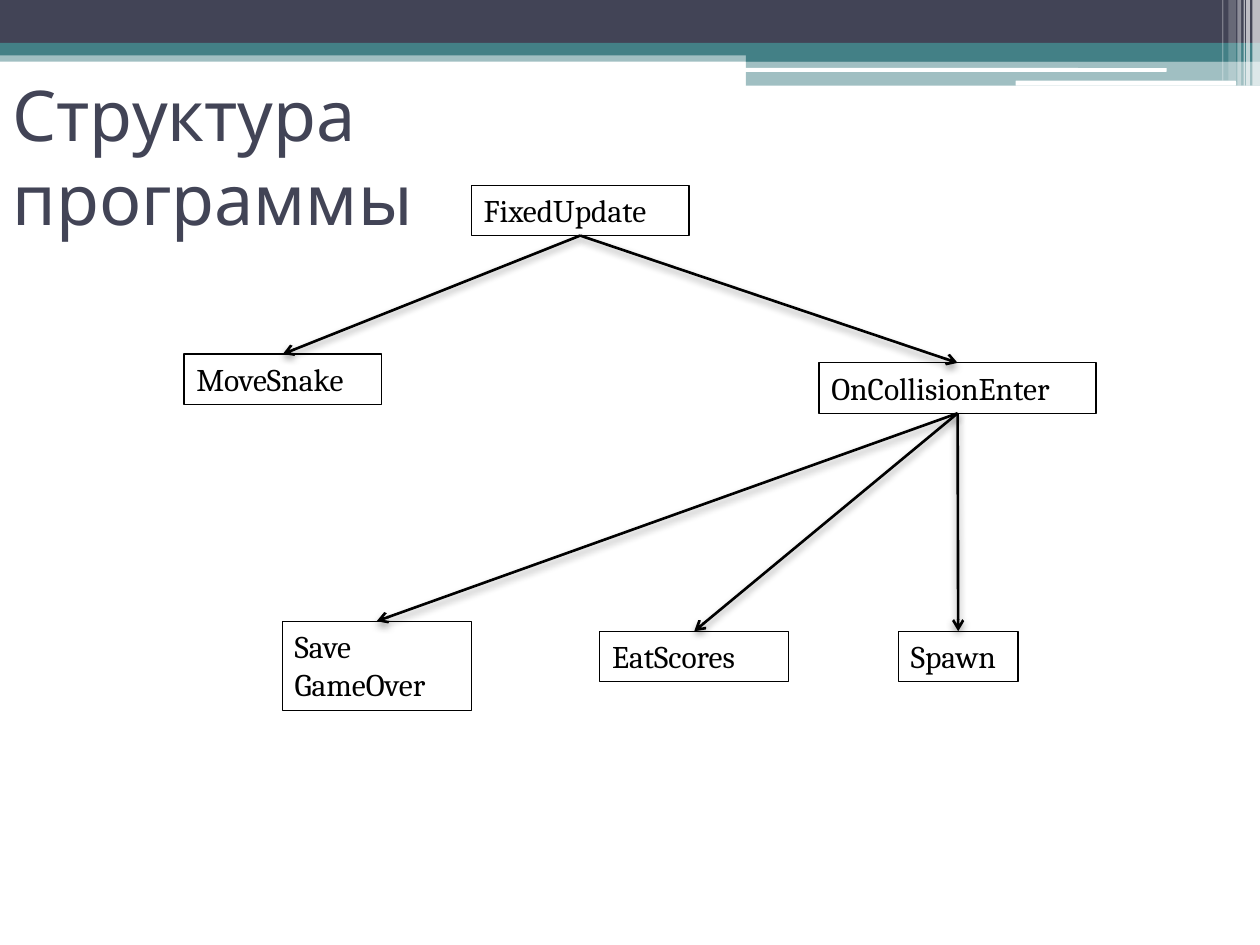
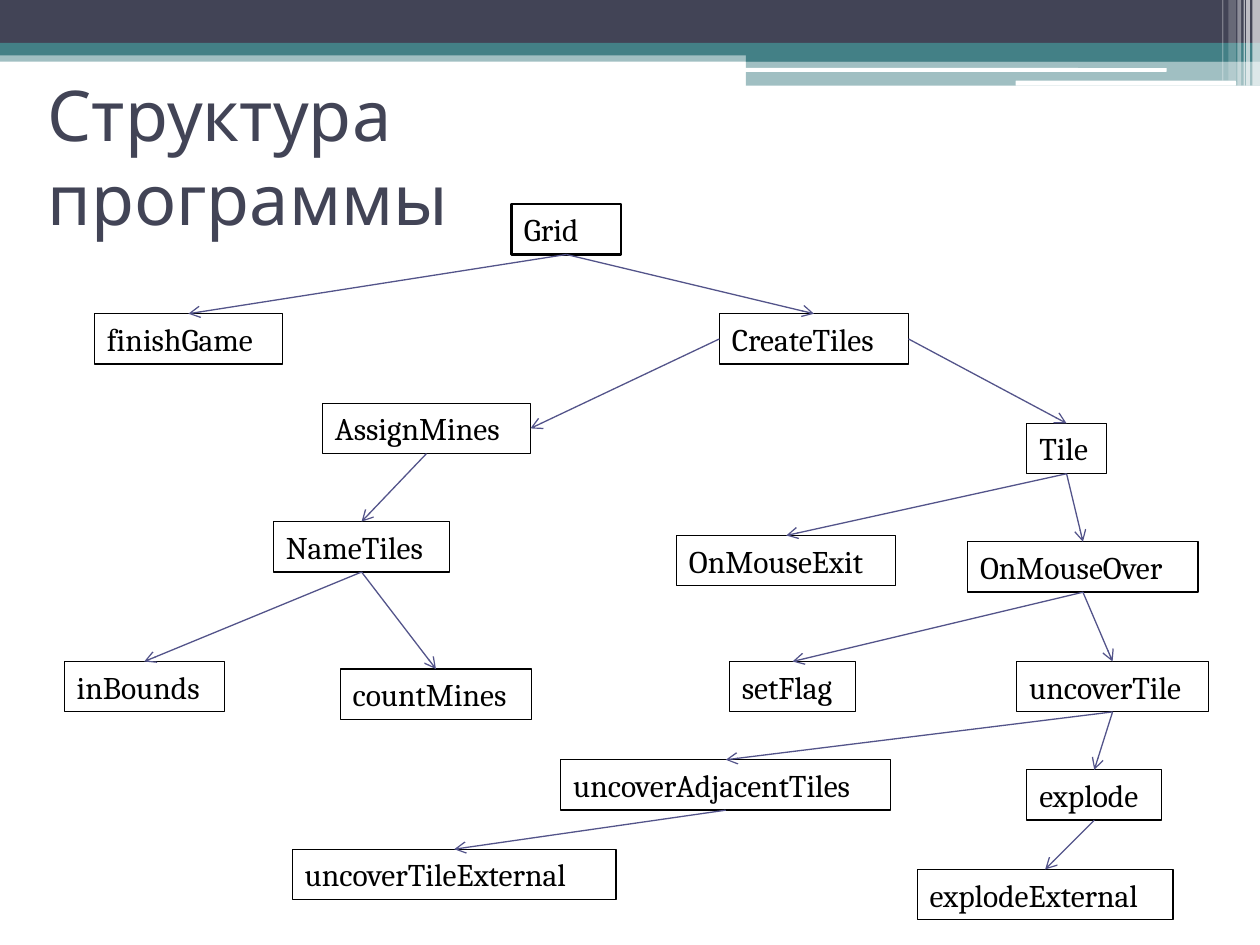
from lxml.etree import SubElement
from pptx import Presentation
from pptx.dml.color import RGBColor
from pptx.enum.shapes import MSO_CONNECTOR as LINE, MSO_SHAPE as SHAPE
from pptx.enum.text import MSO_ANCHOR as ANCHOR, PP_ALIGN as ALIGN
from pptx.oxml import parse_xml
from pptx.oxml.ns import nsdecls, qn
from pptx.util import Inches, Pt

NAVY, TEAL, VIOLET = "424456", "438086", "53548A"
BLACK, WHITE = "000000", "FFFFFF"
BOTTOM, TOP, LEFT, RIGHT = 2, 0, 1, 3
BOX_HEIGHT = 0.4
TITLE = "Структура программы"

# left, top, width, height, colour, opacity in percent
BANDS = [
    (0, 0.4, 10, 0.09, TEAL, 50),
    (0, 0, 10, 0.34, NAVY, 100),
    (0, 0.34, 10, 0.1, TEAL, 100),
    (5.92, 0.39, 4.08, 0.1, TEAL, 100),
    (5.92, 0.48, 4.08, 0.2, TEAL, 50),
]
ROUNDED_BARS = [
    (5.91, 0.54, 3.35, 0.03, WHITE, 100),
    (8.06, 0.64, 1.75, 0.04, WHITE, 100),
]
STRIPES = [
    (9.94, 0, 0.06, 0.68, WHITE, 65),
    (9.89, 0, 0.03, 0.68, WHITE, 65),
    (9.87, 0, 0.01, 0.68, WHITE, 60),
    (9.82, 0, 0.03, 0.68, WHITE, 40),
    (9.75, 0, 0.06, 0.64, WHITE, 20),
    (9.7, 0, 0.01, 0.64, WHITE, 30),
]

SNAKE = {
    "title": (0, 5.98),
    "arrow": (BLACK, 1.5, True),
    "boxes": {  # left, top, width
        "FixedUpdate": (3.74, 1.47, 1.73),
        "MoveSnake": (1.46, 2.81, 1.57),
        "OnCollisionEnter": (6.5, 2.88, 2.2),
        "Save\nGameOver": (2.24, 4.93, 1.5),
        "EatScores": (4.76, 5.01, 1.5),
        "Spawn": (7.13, 5.01, 0.95),
    },
    "links": [
        ("FixedUpdate", BOTTOM, "MoveSnake", TOP),
        ("FixedUpdate", BOTTOM, "OnCollisionEnter", TOP),
        ("OnCollisionEnter", BOTTOM, "Save\nGameOver", TOP),
        ("OnCollisionEnter", BOTTOM, "EatScores", TOP),
        ("OnCollisionEnter", BOTTOM, "Spawn", TOP),
    ],
}
MINES = {
    "title": (0.28, 5.88),
    "arrow": (VIOLET, 0.75, False),
    "boxes": {
        "CreateTiles": (5.71, 2.49, 1.5),
        "AssignMines": (2.56, 3.2, 1.65),
        "NameTiles": (2.17, 4.14, 1.4),
        "countMines": (2.7, 5.31, 1.52),
        "inBounds": (0.51, 5.25, 1.27),
        "OnMouseOver": (7.68, 4.3, 1.83),
        "Tile": (8.15, 3.36, 0.63),
        "uncoverTile": (8.07, 5.25, 1.52),
        "setFlag": (5.79, 5.25, 1),
        "OnMouseExit": (5.37, 4.25, 1.74),
        "uncoverAdjacentTiles": (4.45, 6.03, 2.62),
        "explode": (8.15, 6.11, 1.07),
        "uncoverTileExternal": (2.32, 6.74, 2.57),
        "explodeExternal": (7.28, 6.9, 2.03),
        "finishGame": (0.75, 2.49, 1.49),
        "Grid": (4.06, 1.62, 0.87),
    },
    "links": [
        ("Grid", BOTTOM, "finishGame", TOP),
        ("Grid", BOTTOM, "CreateTiles", TOP),
        ("CreateTiles", LEFT, "AssignMines", RIGHT),
        ("CreateTiles", RIGHT, "Tile", TOP),
        ("AssignMines", BOTTOM, "NameTiles", TOP),
        ("NameTiles", BOTTOM, "inBounds", TOP),
        ("NameTiles", BOTTOM, "countMines", TOP),
        ("Tile", BOTTOM, "OnMouseExit", TOP),
        ("Tile", BOTTOM, "OnMouseOver", TOP),
        ("OnMouseOver", BOTTOM, "setFlag", TOP),
        ("OnMouseOver", BOTTOM, "uncoverTile", TOP),
        ("uncoverTile", BOTTOM, "uncoverAdjacentTiles", TOP),
        ("uncoverTile", BOTTOM, "explode", TOP),
        ("uncoverAdjacentTiles", BOTTOM, "uncoverTileExternal", TOP),
        ("explode", BOTTOM, "explodeExternal", TOP),
    ],
}


def paint(fill, colour, opacity=100):
    """Make a fill solid in a hex colour; opacity is in percent."""
    fill.solid()
    fill.fore_color.rgb = RGBColor.from_string(colour)
    if opacity < 100:
        tint = fill._xPr.find(qn("a:solidFill"))[0]
        SubElement(tint, qn("a:alpha")).set("val", str(opacity * 1000))


def write_text(shape, text, size=18, font="Cambria", colour=BLACK):
    """Write one left-aligned paragraph for each line of text."""
    frame = shape.text_frame
    frame.word_wrap = True
    frame.vertical_anchor = ANCHOR.TOP
    frame.text = text
    for para in frame.paragraphs:
        para.alignment = ALIGN.LEFT
        for span in para.runs:
            span.font.size = Pt(size)
            span.font.name = font
            paint(span.font.fill, colour)


deck = Presentation()
deck.slide_width, deck.slide_height = Inches(10), Inches(7.5)

for diagram in (SNAKE, MINES):
    page = deck.slides.add_slide(deck.slide_layouts[6])

    # Header bands
    for kind, bars in ((SHAPE.RECTANGLE, BANDS),
                       (SHAPE.ROUNDED_RECTANGLE, ROUNDED_BARS),
                       (SHAPE.RECTANGLE, STRIPES)):
        for *place, colour, opacity in bars:
            bar = page.shapes.add_shape(kind, *map(Inches, place))
            bar.shadow.inherit = False
            bar.line.fill.background()
            paint(bar.fill, colour, opacity)

    # Function boxes
    boxes = {}
    for name, (left, top, width) in diagram["boxes"].items():
        height = BOX_HEIGHT + 0.31 * name.count("\n")
        box = page.shapes.add_shape(
            SHAPE.RECTANGLE, *map(Inches, (left, top, width, height)))
        box.shadow.inherit = False
        box.fill.background()
        paint(box.line.fill, BLACK)
        box.line.width = Pt(0.75)
        write_text(box, name)
        boxes[name] = box

    # The root of the mines diagram stands out
    if "Grid" in boxes:
        paint(boxes["Grid"].fill, WHITE)
        boxes["Grid"].line.width = Pt(1.5)

    # Call arrows
    colour, weight, has_shadow = diagram["arrow"]
    for caller, start, callee, end in diagram["links"]:
        arrow = page.shapes.add_connector(LINE.STRAIGHT, 0, 0, 0, 0)
        arrow.begin_connect(boxes[caller], start)
        arrow.end_connect(boxes[callee], end)
        paint(arrow.line.fill, colour)
        arrow.line.width = Pt(weight)
        SubElement(arrow.line._get_or_add_ln(), qn("a:tailEnd")).set("type", "arrow")
        effects = SubElement(arrow._element.spPr, qn("a:effectLst"))
        if has_shadow:
            effects.append(parse_xml(
                f'<a:outerShdw {nsdecls("a")} blurRad="{Pt(4.1)}" dist="{Pt(2)}" '
                f'dir="5400000" rotWithShape="0"><a:srgbClr val="{BLACK}">'
                '<a:alpha val="40000"/></a:srgbClr></a:outerShdw>'))

    # Title
    left, width = diagram["title"]
    title = page.shapes.add_textbox(*map(Inches, (left, 0.52, width, 0.77)))
    write_text(title, TITLE, size=40, font="Cabin", colour=NAVY)

deck.save("out.pptx")
